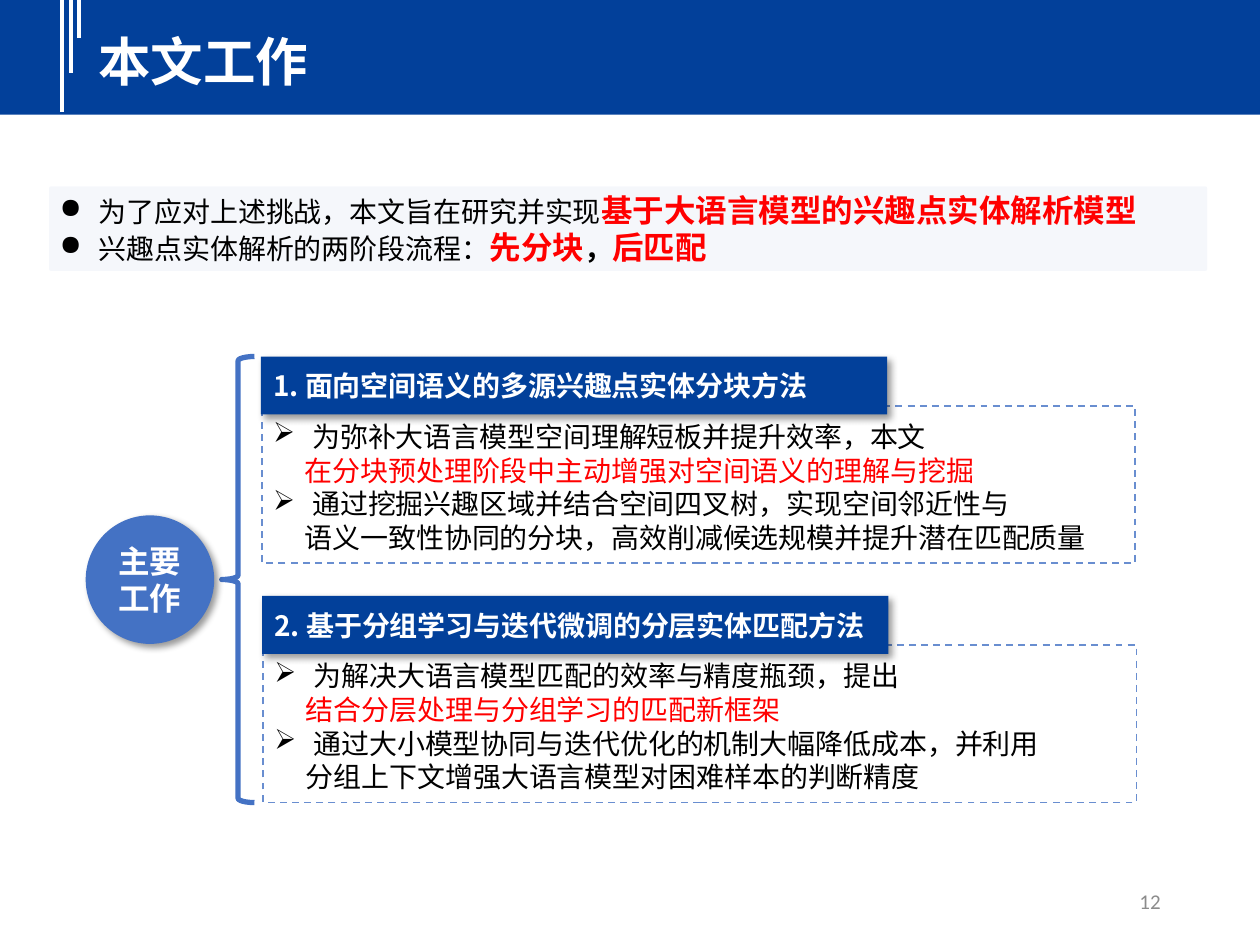
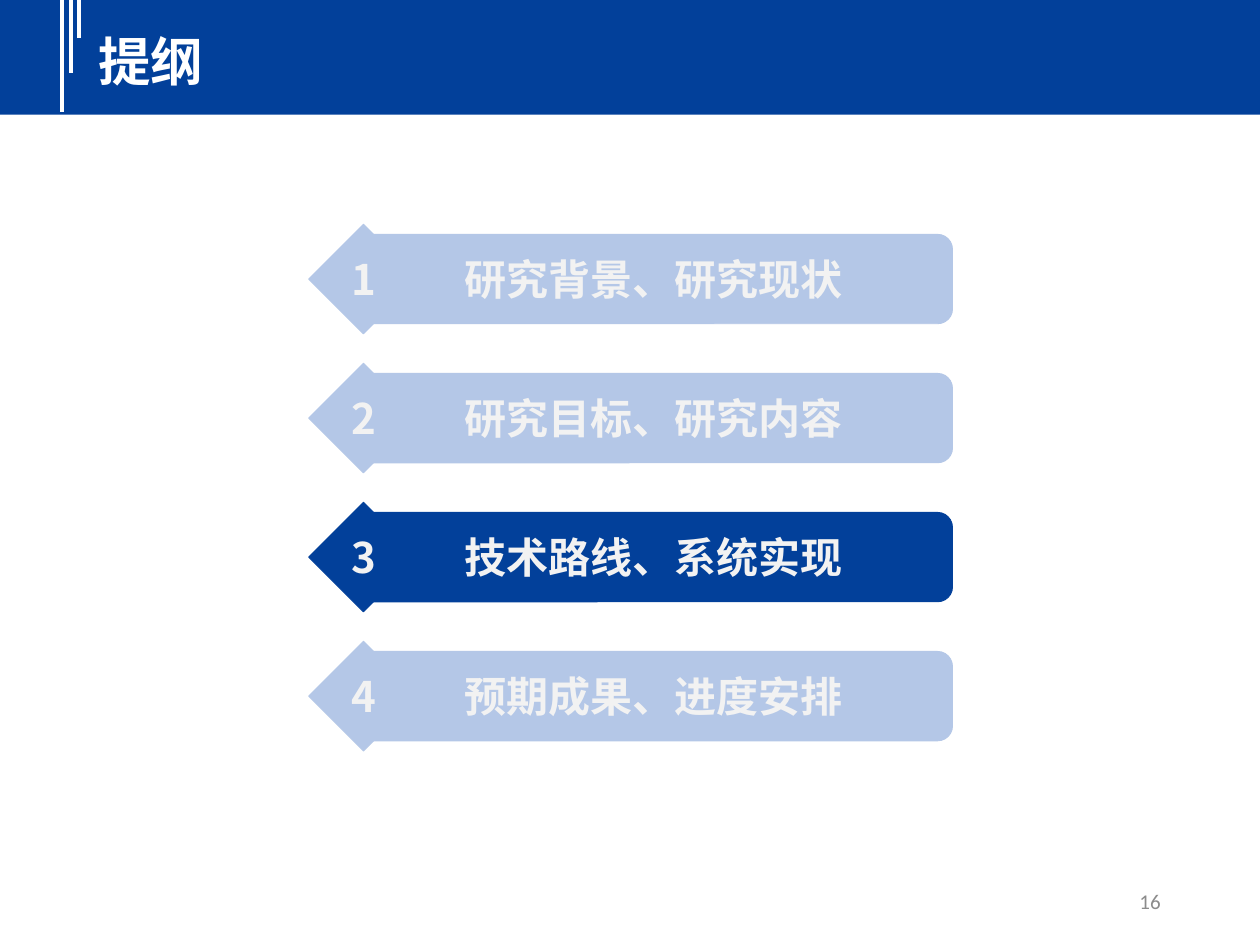
from dataclasses import dataclass
from typing import NamedTuple, Optional

from lxml.etree import SubElement
from pptx import Presentation
from pptx.dml.color import RGBColor
from pptx.enum.dml import MSO_LINE
from pptx.enum.shapes import MSO_CONNECTOR, MSO_SHAPE
from pptx.enum.text import MSO_ANCHOR, PP_ALIGN
from pptx.oxml.ns import qn
from pptx.util import Inches, Pt

NAVY = "02409A"
BLUE = "4472C4"
DASH_BLUE = "698ED0"
PALE_BLUE = "B4C7E7"
WHITE = "FFFFFF"
OFF_WHITE = "F2F2F2"
GRAY = "8C8C8C"
BLACK = "000000"
RED = "FF0000"
HEADING_FONT = "Noto Sans CJK SC"
NUMBER_FONT = "Calibri"
HANGING = 0.31
CONTINUATION = 0.25


class Box(NamedTuple):
    left: float
    top: float
    width: float
    height: float


class Span(NamedTuple):
    text: str
    size: float
    color: str
    bold: bool = False
    font: str = HEADING_FONT


@dataclass
class Line:
    spans: list[Span]
    align: PP_ALIGN = PP_ALIGN.LEFT
    bullet: str = ""
    margin: float = 0
    spacing: Optional[float] = None


@dataclass
class WorkCard:
    left: float
    top: float
    title: str
    align: PP_ALIGN
    body: list[tuple[str, str, str]]


WORK_CARDS = [
    WorkCard(2.07, 2.83, "1. 面向空间语义的多源兴趣点实体分块方法", PP_ALIGN.JUSTIFY, [
        ("➢", "为弥补大语言模型空间理解短板并提升效率，本文", BLACK),
        ("", "在分块预处理阶段中主动增强对空间语义的理解与挖掘", RED),
        ("➢", "通过挖掘兴趣区域并结合空间四叉树，实现空间邻近性与", BLACK),
        ("", "语义一致性协同的分块，高效削减候选规模并提升潜在匹配质量", BLACK),
    ]),
    WorkCard(2.08, 4.73, "2. 基于分组学习与迭代微调的分层实体匹配方法", PP_ALIGN.LEFT, [
        ("➢", "为解决大语言模型匹配的效率与精度瓶颈，提出", BLACK),
        ("", "结合分层处理与分组学习的匹配新框架", RED),
        ("➢", "通过大小模型协同与迭代优化的机制大幅降低成本，并利用", BLACK),
        ("", "分组上下文增强大语言模型对困难样本的判断精度", BLACK),
    ]),
]
OUTLINE = ["研究背景、研究现状", "研究目标、研究内容", "技术路线、系统实现", "预期成果、进度安排"]
CURRENT_SECTION = 3


def rgb(color: str) -> RGBColor:
    return RGBColor.from_string(color)


def place(box: Box) -> list:
    return [Inches(value) for value in box]


def write(shape, lines: list[Line], anchor=MSO_ANCHOR.MIDDLE, wrap: bool = True) -> None:
    text_frame = shape.text_frame
    text_frame.word_wrap = wrap
    text_frame.vertical_anchor = anchor
    for index, line in enumerate(lines):
        paragraph = text_frame.add_paragraph() if index else text_frame.paragraphs[0]
        properties = paragraph._p.get_or_add_pPr()
        properties.set("marL", str(Inches(line.margin)))
        if line.bullet:
            properties.set("indent", str(-Inches(line.margin)))
            SubElement(properties, qn("a:buChar"), char=line.bullet)
        paragraph.alignment = line.align
        if line.spacing:
            paragraph.line_spacing = Pt(line.spacing)
        for span in line.spans:
            run = paragraph.add_run()
            run.text = span.text
            run.font.size = Pt(span.size)
            run.font.bold = span.bold
            run.font.color.rgb = rgb(span.color)
            run.font.name = span.font
            SubElement(run._r.get_or_add_rPr(), qn("a:ea"), typeface=HEADING_FONT)


def add_text(slide, box: Box, lines: list[Line], anchor=MSO_ANCHOR.TOP) -> None:
    write(slide.shapes.add_textbox(*place(box)), lines, anchor)


def add_block(slide, kind, box: Box, fill: str = "", line: str = "",
              width: float = 1, adjustments: tuple = ()):
    shape = slide.shapes.add_shape(kind, *place(box))
    shape.shadow.inherit = False
    for index, value in enumerate(adjustments):
        shape.adjustments[index] = value
    if fill:
        shape.fill.solid()
        shape.fill.fore_color.rgb = rgb(fill)
    else:
        shape.fill.background()
    if line:
        shape.line.color.rgb = rgb(line)
        shape.line.width = Pt(width)
    else:
        shape.line.fill.background()
    return shape


def cast_shadow(shape) -> None:
    effects = shape._element.spPr.find(qn("a:effectLst"))
    shadow = SubElement(effects, qn("a:outerShdw"), blurRad=str(Pt(4)), dist=str(Pt(3)),
                        dir=str(45 * 60000), algn="tl", rotWithShape="0")
    color = SubElement(shadow, qn("a:srgbClr"), val=BLACK)
    SubElement(color, qn("a:alpha"), val="40000")


def add_frame(slide, title: str, number: int) -> None:
    add_block(slide, MSO_SHAPE.RECTANGLE, Box(0, -0.03, 10, 0.94), NAVY)
    for x, bottom in ((0.49, 0.89), (0.56, 0.58), (0.63, 0.3)):
        stripe = slide.shapes.add_connector(
            MSO_CONNECTOR.STRAIGHT, Inches(x), Inches(-0.03), Inches(x), Inches(bottom))
        stripe.line.color.rgb = rgb(WHITE)
        stripe.line.width = Pt(2.25)
        SubElement(stripe._element.spPr, qn("a:effectLst"))
    add_text(slide, Box(0.68, 0.18, 9.12, 0.6),
             [Line([Span(title, 30, WHITE, True)], spacing=36)])
    add_text(slide, Box(7.06, 6.95, 2.25, 0.4),
             [Line([Span(str(number), 12, GRAY, font=NUMBER_FONT)], PP_ALIGN.RIGHT)],
             MSO_ANCHOR.MIDDLE)


def add_introduction(slide) -> None:
    panel = add_block(slide, MSO_SHAPE.ROUNDED_RECTANGLE, Box(0.39, 1.48, 9.19, 0.67),
                      BLUE, adjustments=(0.02,))
    fill_color = panel._element.spPr.find(qn("a:solidFill")).find(qn("a:srgbClr"))
    SubElement(fill_color, qn("a:alpha"), val="5000")
    text_frame = panel.text_frame
    text_frame.margin_left = Inches(0.08)
    text_frame.margin_top = text_frame.margin_right = text_frame.margin_bottom = 0
    sentences = [
        [Span("为了应对上述挑战，本文旨在研究并实现", 16, BLACK),
         Span("基于大语言模型的兴趣点实体解析模型", 18, RED, True)],
        [Span("兴趣点实体解析的两阶段流程：", 16, BLACK), Span("先分块", 18, RED, True),
         Span("，", 16, BLACK, True), Span("后匹配", 18, RED, True)],
    ]
    write(panel, [Line(spans, PP_ALIGN.JUSTIFY, "●", HANGING, 21.2) for spans in sentences])


def add_work_card(slide, card: WorkCard) -> None:
    border = add_block(slide, MSO_SHAPE.RECTANGLE,
                       Box(card.left + 0.01, card.top + 0.39, 6.93, 1.25), line=DASH_BLUE)
    border.line.dash_style = MSO_LINE.DASH
    heading = add_block(slide, MSO_SHAPE.ROUNDED_RECTANGLE,
                        Box(card.left, card.top, 4.97, 0.46), NAVY, adjustments=(0,))
    cast_shadow(heading)
    write(heading, [Line([Span(card.title, 16, WHITE, True)])])
    add_text(slide, Box(card.left, card.top + 0.45, 6.94, 1.18), [
        Line([Span(text, 16, color)], card.align, bullet,
             HANGING if bullet else CONTINUATION, 19.25)
        for bullet, text, color in card.body])


def build_work_slide(slide) -> None:
    add_frame(slide, "本文工作", 12)
    add_block(slide, MSO_SHAPE.LEFT_BRACE, Box(1.76, 2.83, 0.26, 3.54),
              line=BLUE, width=3, adjustments=(0.133, 0.5))
    hub = add_block(slide, MSO_SHAPE.OVAL, Box(0.68, 4.09, 1.02, 1.02), BLUE)
    cast_shadow(hub)
    write(hub, [Line([Span("主要工作", 18, WHITE, True, NUMBER_FONT)],
                     PP_ALIGN.CENTER, spacing=21.2)])
    for card in WORK_CARDS:
        add_work_card(slide, card)
    add_introduction(slide)


def build_outline_slide(slide) -> None:
    add_frame(slide, "提纲", 16)
    first_top, last_top = 1.78, 5.09
    pitch = (last_top - first_top) / (len(OUTLINE) - 1)
    for number, section in enumerate(OUTLINE, 1):
        top = first_top + (number - 1) * pitch
        color = NAVY if number == CURRENT_SECTION else PALE_BLUE
        bar = add_block(slide, MSO_SHAPE.ROUNDED_RECTANGLE, Box(2.81, top + 0.08, 4.75, 0.71),
                        color, color, 0.5, (0.167,))
        badge = add_block(slide, MSO_SHAPE.DIAMOND, Box(2.45, top, 0.87, 0.87),
                          color, color, 0.5)
        for shape, text, font in ((bar, section, NUMBER_FONT), (badge, str(number), HEADING_FONT)):
            write(shape, [Line([Span(text, 24, OFF_WHITE, True, font)], PP_ALIGN.CENTER)],
                  wrap=False)


def main() -> None:
    presentation = Presentation()
    presentation.slide_width = Inches(10)
    presentation.slide_height = Inches(7.5)
    for build in (build_work_slide, build_outline_slide):
        build(presentation.slides.add_slide(presentation.slide_layouts[6]))
    presentation.save("out.pptx")


if __name__ == "__main__":
    main()
